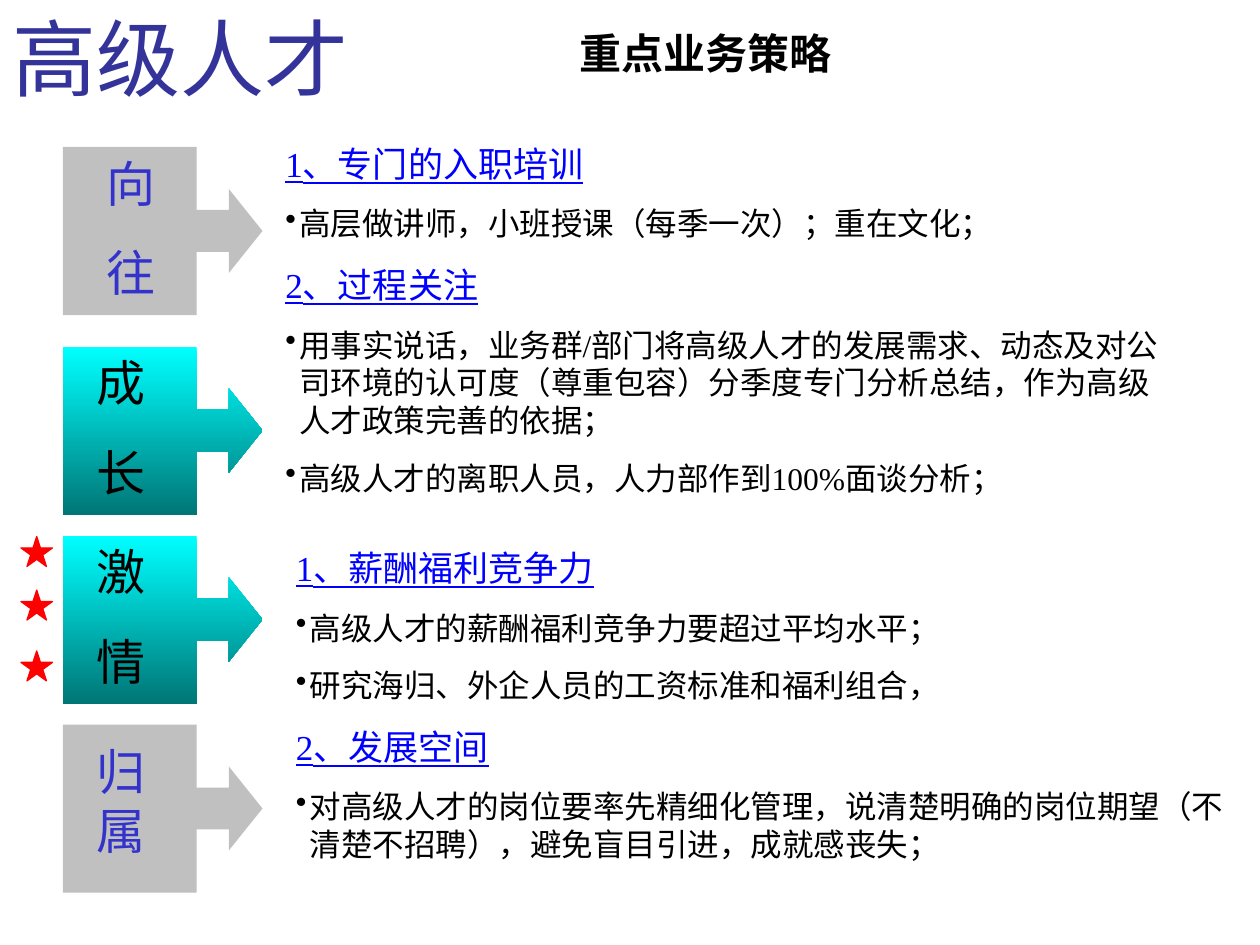
from lxml import etree
from pptx import Presentation
from pptx import util as u
from pptx.dml.color import RGBColor
from pptx.enum import shapes, text
from pptx.oxml.ns import qn

COLORS = {
    "title": "333399", "heading": "0000FF", "label": "3333CC", "text": "000000",
    "grey": "C0C0C0", "aqua": "00FFFF", "teal": "007676", "star": "FF0000",
}
W, H = u.Inches(10), u.Inches(7.5)
COLS, ROWS = 120, 90  # square grid cells
SERIF = "Times New Roman"

# Callout row, label column, label row, label height, label lines, highlighted
STAGES = [
    (14, 9, 14, 15.4, ["向", "往"], False),
    (33, 8, 33, 15.4, ["成", "长"], True),
    (51, 8, 51, 15.4, ["激", "情"], True),
    (69, 8, 70, 12.5, ["归属"], False),
]
# Column, row, width, height, then (heading, bullets) groups
POLICIES = [
    (26, 13, 86, 35, [
        ("1、专门的入职培训", ["高层做讲师，小班授课（每季一次）；重在文化；"]),
        ("2、过程关注", [
            "用事实说话，业务群/部门将高级人才的发展需求、动态及对公司环境的认可度"
            "（尊重包容）分季度专门分析总结，作为高级人才政策完善的依据；",
            "高级人才的离职人员，人力部作到100%面谈分析；"]),
    ]),
    (27, 51.5, 93, 36.8, [
        ("1、薪酬福利竞争力", [
            "高级人才的薪酬福利竞争力要超过平均水平；",
            "研究海归、外企人员的工资标准和福利组合，"]),
        ("2、发展空间", [
            "对高级人才的岗位要率先精细化管理，说清楚明确的岗位期望"
            "（不清楚不招聘），避免盲目引进，成就感丧失；"]),
    ]),
]
STAR_ROWS = [51.1, 56.2, 62]


def rgb(name):
    return RGBColor.from_string(COLORS[name])


def cell(col, row, width, height):
    return (int(W * col / COLS), int(H * row / ROWS),
            int(W * width / COLS), int(H * height / ROWS))


def add_box(s, box, grow=True):
    tf = s.shapes.add_textbox(*cell(*box)).text_frame
    tf.word_wrap = True
    if grow:
        tf.auto_size = text.MSO_AUTO_SIZE.SHAPE_TO_FIT_TEXT
    return tf


def add_line(tf, words, size, color, before=0, font=SERIF):
    first = not tf.text
    p = tf.paragraphs[0] if first else tf.add_paragraph()
    p.text = words
    if before and not first:
        p.space_before = u.Pt(before)
    p.font.name, p.font.size = font, u.Pt(size)
    p.font.color.rgb = rgb(color)
    return p


def add_indent(p, bullet):
    pPr = p._p.get_or_add_pPr()
    pPr.set("marL", str(u.Inches(0.11)))
    pPr.set("indent", str(u.Inches(-0.11)))
    if bullet:
        clr = etree.Element(qn("a:buClr"))
        etree.SubElement(clr, qn("a:srgbClr"), val=COLORS["text"])
        char = etree.Element(qn("a:buChar"), char="•")
        # Bullets come before the default run properties
        for element in (clr, char):
            pPr.find(qn("a:defRPr")).addprevious(element)


def add_policy(s, col, row, width, height, groups):
    tf = add_box(s, (col, row, width, height))
    for heading, bullets in groups:
        p = add_line(tf, heading, 20, "heading", before=12.5)
        p.font.underline = True
        add_indent(p, bullet=False)
        for words in bullets:
            add_indent(add_line(tf, words, 18, "text", before=11.2), bullet=True)


def add_callout(s, row, highlighted):
    sp = s.shapes.add_shape(shapes.MSO_SHAPE.RIGHT_ARROW_CALLOUT, *cell(6, row, 19, 16))
    sp.shadow.inherit = False
    sp.line.fill.background()
    for i, value in enumerate((0.25, 0.25, 0.2, 0.67)):
        sp.adjustments[i] = value
    if highlighted:
        sp.fill.gradient()
        sp.fill.gradient_angle = 270
        for stop, name in zip(sp.fill.gradient_stops, ("aqua", "teal")):
            stop.color.rgb = rgb(name)
    else:
        sp.fill.solid()
        sp.fill.fore_color.rgb = rgb("grey")


def add_label(s, col, row, height, lines, highlighted):
    tf = add_box(s, (col, row, 9, height))
    for words in lines:
        add_line(tf, words, 28, "text" if highlighted else "label", before=17.5)


def add_star(s, row):
    sp = s.shapes.add_shape(shapes.MSO_SHAPE.STAR_5_POINT, *cell(2, row, 3, 2.85))
    sp.shadow.inherit = False
    sp.fill.solid()
    sp.fill.fore_color.rgb = sp.line.color.rgb = rgb("star")
    sp.line.width = u.Pt(0.75)


def main():
    prs = Presentation()
    prs.slide_width, prs.slide_height = W, H
    s = prs.slides.add_slide(prs.slide_layouts[6])

    # Title and topic
    add_line(add_box(s, (0, 0, 116.4, 7.3), grow=False), "高级人才", 48, "title", font="Cabin")
    tf = add_box(s, (54, 0, 81, 10), grow=False)
    tf.vertical_anchor = text.MSO_ANCHOR.MIDDLE
    add_line(tf, "重点业务策略", 24, "text").font.bold = True

    # Stage callouts with their labels
    for row, col, label_row, height, lines, highlighted in STAGES:
        add_callout(s, row, highlighted)
        add_label(s, col, label_row, height, lines, highlighted)

    # Policies
    for policy in POLICIES:
        add_policy(s, *policy)

    # Priority stars
    for row in STAR_ROWS:
        add_star(s, row)

    prs.save("out.pptx")


if __name__ == "__main__":
    main()
